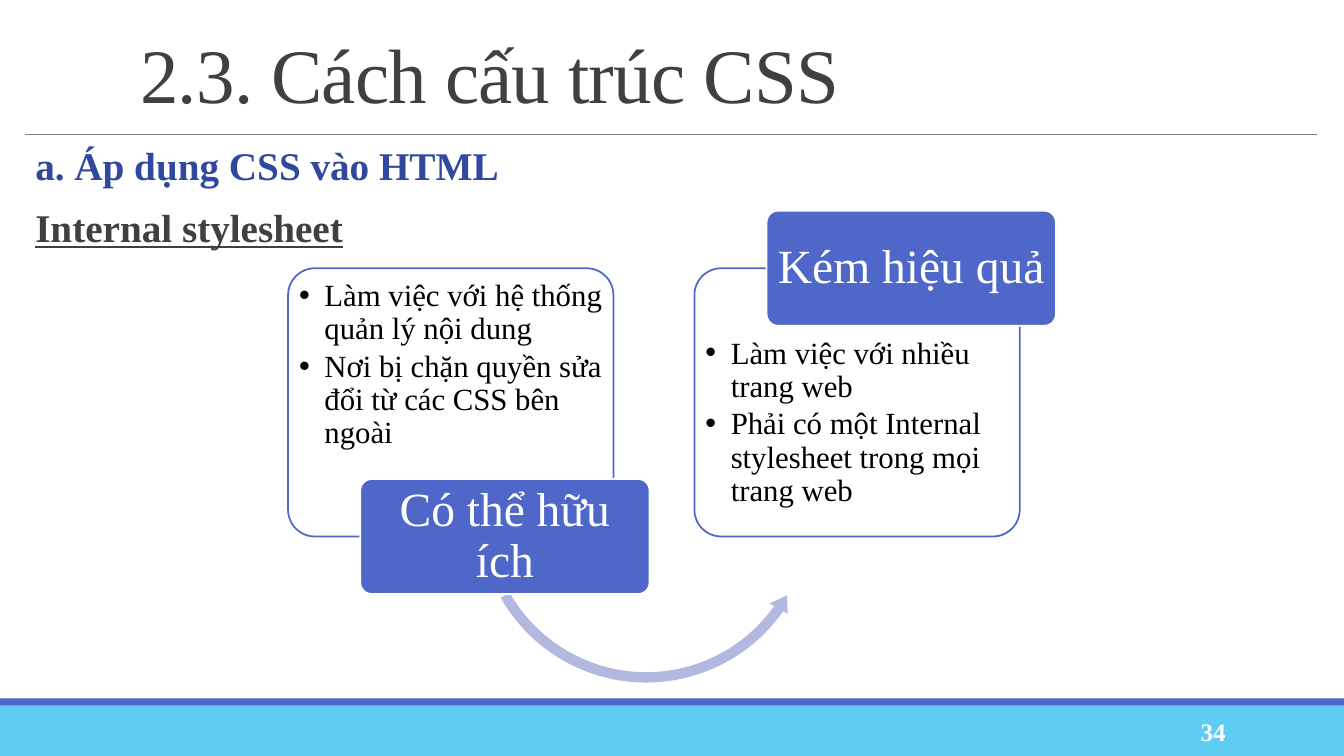
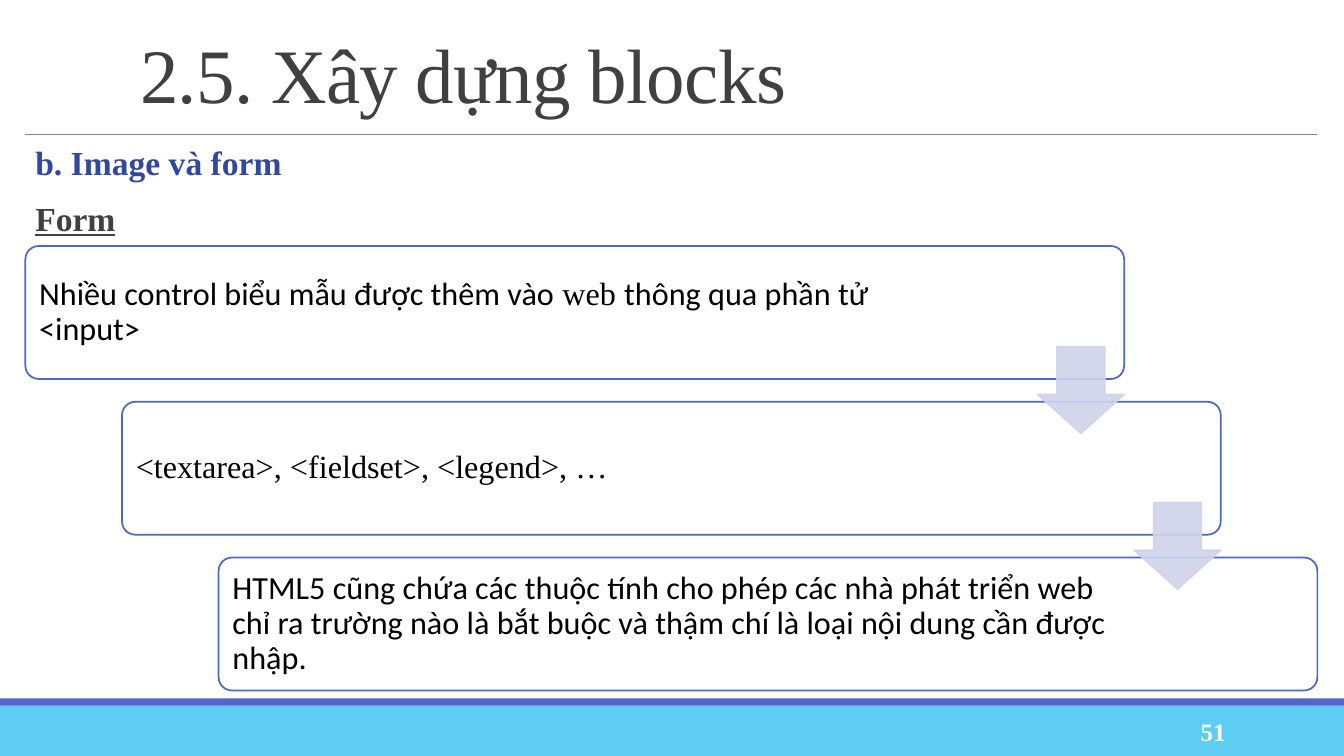
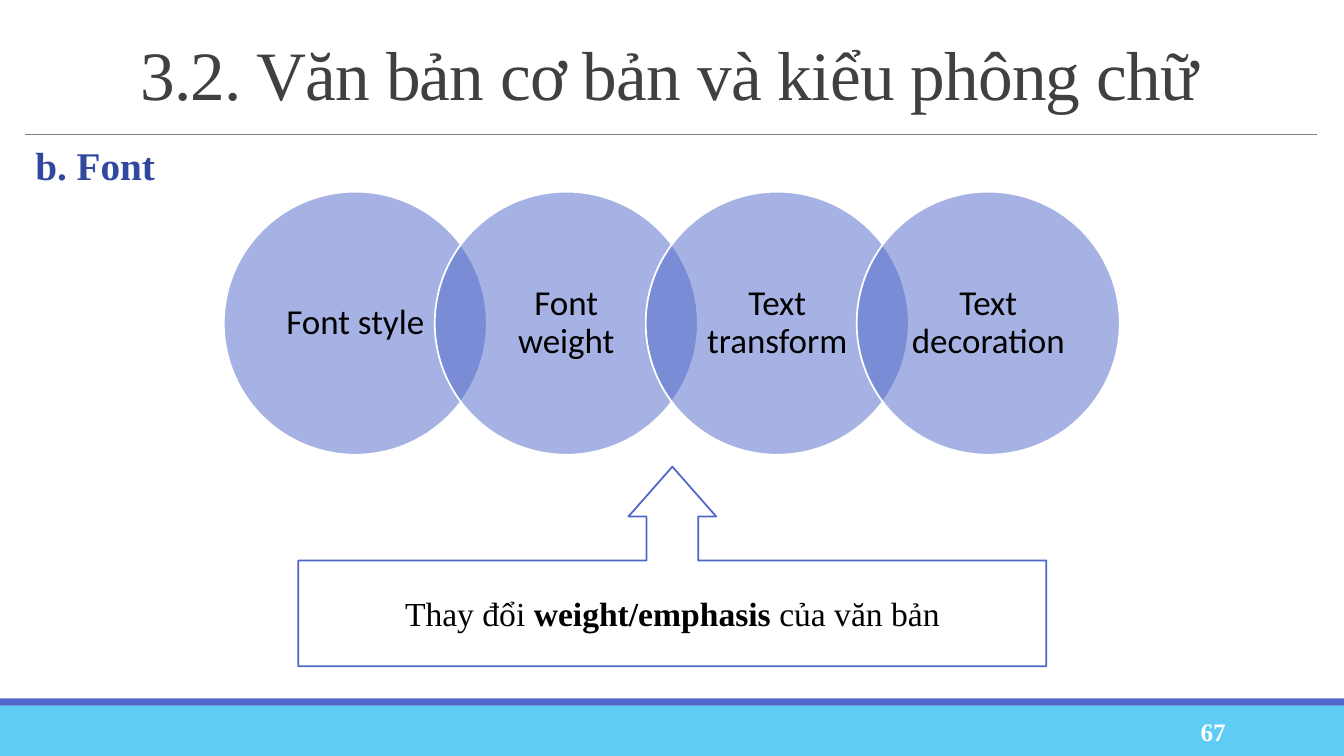
from lxml import etree
from pptx import Presentation
from pptx import util as u
from pptx.dml import color as dml_color
from pptx.enum import shapes, text
from pptx.oxml import ns

SERIF, SANS = "Times New Roman", "Calibri"
INDIGO, SKY, NAVY = "4E67C8", "5ECCF3", "31489F"
WHITE, BLACK, DARK, GRAY = "FFFFFF", "000000", "404040", "808080"
ARC_COLOR, ARROW_COLOR = "B2B8E0", "D0D3EB"
SLIDE_WIDTH, SLIDE_HEIGHT = 33.87, 19.05

CENTER, LEFT = text.PP_ALIGN.CENTER, text.PP_ALIGN.LEFT
MIDDLE, TOP = text.MSO_ANCHOR.MIDDLE, text.MSO_ANCHOR.TOP
PRESET = shapes.MSO_SHAPE


def rgb(value):
    """Turn a hex string into a colour."""
    return dml_color.RGBColor.from_string(value)


def font_format(size, color, name=SERIF, **extra):
    """Gather the values of a font."""
    return {"size": u.Pt(size), "color": color, "name": name, **extra}


def set_attributes(target, values):
    """Set each value of a dict on the target."""
    for name, value in values.items():
        if name == "color":
            target.color.rgb = rgb(value)
        else:
            setattr(target, name, value)


def write(frame, lines, font, layout, insets=None, anchor=MIDDLE, bullet=None):
    """Write lines, each a list of (text, font changes) runs, into a frame."""
    set_attributes(frame, {"word_wrap": True, "vertical_anchor": anchor,
                           "auto_size": text.MSO_AUTO_SIZE.NONE})
    if insets:
        sides = ("left", "top", "right", "bottom")
        set_attributes(frame, {f"margin_{side}": u.Cm(inset)
                               for side, inset in zip(sides, insets)})
    for index, runs in enumerate(lines):
        paragraph = frame.add_paragraph() if index else frame.paragraphs[0]
        set_attributes(paragraph, layout)
        if index == 0:
            paragraph.space_before = u.Pt(0)
        if bullet:
            add_bullet(paragraph, bullet)
        for words, changes in runs:
            run = paragraph.add_run()
            run.text = words
            set_attributes(run.font, {**font, **changes})


def add_bullet(paragraph, character, indent=0.64):
    """Give a paragraph a hanging bullet."""
    properties = paragraph._p.get_or_add_pPr()
    properties.set("marL", str(u.Cm(indent)))
    properties.set("indent", str(-u.Cm(indent)))
    etree.SubElement(properties, ns.qn("a:buFont"), typeface="Arial")
    etree.SubElement(properties, ns.qn("a:buChar"), char=character)


def set_alpha(parent, percent):
    """Make the solid fill inside an element partly transparent."""
    color = parent.find(ns.qn("a:solidFill")).find(ns.qn("a:srgbClr"))
    etree.SubElement(color, ns.qn("a:alpha"), val=str(percent * 1000))


def add_box(slide, preset, box, fill, line=None, adjustments=()):
    """Add a flat preset shape."""
    shape = slide.shapes.add_shape(preset, *map(u.Cm, box))
    shape.shadow.inherit = False
    shape.fill.solid()
    shape.fill.fore_color.rgb = rgb(fill)
    if line:
        shape.line.color.rgb = rgb(line)
        shape.line.width = u.Pt(1.25)
    else:
        shape.line.fill.background()
    for index, value in enumerate(adjustments):
        shape.adjustments[index] = value
    return shape


def add_text(slide, box, *arguments, **options):
    """Add a text box and write into it."""
    write(slide.shapes.add_textbox(*map(u.Cm, box)).text_frame, *arguments, **options)


def add_base(presentation, title, number, headings, title_size=55, heading_size=28):
    """Add a slide with the bands, rule, title, headings and number."""
    slide = presentation.slides.add_slide(presentation.slide_layouts[5])
    add_box(slide, PRESET.RECTANGLE, (0, 17.78, SLIDE_WIDTH, 1.27), SKY)
    add_box(slide, PRESET.RECTANGLE, (0, 17.6, SLIDE_WIDTH, 0.18), INDIGO)
    rule = slide.shapes.add_connector(
        shapes.MSO_CONNECTOR.STRAIGHT, *map(u.Cm, (0.64, 3.38, 33.2, 3.38)))
    rule.line.color.rgb = rgb(GRAY)
    rule.line.width = u.Pt(0.5)
    etree.SubElement(rule._element.spPr, ns.qn("a:effectLst"))

    holder = slide.shapes.title
    for side, length in zip(("left", "top", "width", "height"), (3.28, 0.79, 29.92, 2.44)):
        setattr(holder, side, u.Cm(length))
    write(holder.text_frame, [[(title, {})]], font_format(title_size, DARK),
          {"alignment": LEFT, "line_spacing": 0.85})
    for run in holder.text_frame.paragraphs[0].runs:
        run._r.get_or_add_rPr().set("spc", "-50")

    styles = ({}, {"color": DARK, "underline": True})
    add_text(slide, (0.64, 3.56, 32.56, 13.56),
             [[pair] for pair in zip(headings, styles)],
             font_format(heading_size, NAVY, bold=True),
             {"alignment": text.PP_ALIGN.JUSTIFY, "line_spacing": 0.9,
              "space_before": u.Pt(12), "space_after": u.Pt(2)},
             insets=(0.25, 0.13, 0, 0.13), anchor=TOP)
    add_text(slide, (27.51, 17.93, 3.63, 1.02), [[(number, {})]],
             font_format(18, WHITE, bold=True), {"alignment": text.PP_ALIGN.RIGHT})
    return slide


def add_panels(slide, box, panels):
    """Draw bulleted panels with a badge on one edge, joined by an arc."""
    left, top, width, height = box
    panel_width, badge_width, badge_height, shift = 8.2, 7.29, 2.9, 1.82
    pitch = width - panel_width - badge_width - shift + panel_width
    panel_height = height - badge_height
    panel_top = top + badge_height / 2
    badges = []
    for index, (label, points, badge_on_top) in enumerate(panels):
        panel_left = left + index * pitch
        panel = add_box(slide, PRESET.ROUNDED_RECTANGLE,
                        (panel_left, panel_top, panel_width, panel_height),
                        WHITE, INDIGO, [0.1])
        write(panel.text_frame, [[(point, {})] for point in points],
              font_format(22, BLACK),
              {"alignment": LEFT, "line_spacing": 0.9, "space_after": u.Pt(3)},
              insets=(0.08, 1.55 if badge_on_top else 0.1, 0, 0),
              anchor=TOP, bullet="•")
        badge_top = top if badge_on_top else top + panel_height
        badges.append((label, (panel_left + shift, badge_top, badge_width, badge_height)))
    add_box(slide, PRESET.LEFT_CIRCULAR_ARROW, (left + 4.68, top + 3.33, 8.69, 8.69),
            ARC_COLOR, adjustments=[0.03, 3.33, 21.09, 90.24, 0.03])
    for label, badge_box in badges:
        badge = add_box(slide, PRESET.ROUNDED_RECTANGLE, badge_box, INDIGO, WHITE, [0.1])
        write(badge.text_frame, [[(label, {})]], font_format(34, WHITE),
              {"alignment": CENTER, "line_spacing": 0.9},
              insets=(0.17, 0.13, 0.17, 0.13))


def add_steps(slide, box, steps):
    """Draw a staircase of steps with an arrow between neighbours."""
    left, top, width, height = box
    step_width, step_height, arrow_size = 27.69, 3.35, 2.18
    across = (width - step_width) / (len(steps) - 1)
    down = (height - step_height) / (len(steps) - 1)
    for index, runs in enumerate(steps):
        step = add_box(slide, PRESET.ROUNDED_RECTANGLE,
                       (left + index * across, top + index * down, step_width, step_height),
                       WHITE, INDIGO, [0.1])
        write(step.text_frame, [runs], font_format(23, BLACK, SANS),
              {"alignment": LEFT, "line_spacing": 0.9}, insets=(0.25, 0.25, 4.88, 0.25))
    for index in range(len(steps) - 1):
        arrow = add_box(slide, PRESET.DOWN_ARROW,
                        (left + index * across + step_width - arrow_size,
                         top + index * down + 2.54, arrow_size, arrow_size),
                        ARROW_COLOR, ARROW_COLOR, [0.55, 0.45])
        properties = arrow._element.spPr
        set_alpha(properties, 90)
        set_alpha(properties.find(ns.qn("a:ln")), 90)


def add_circles(slide, box, labels):
    """Draw a row of overlapping circles."""
    left, top, width, diameter = box
    pitch = (width - diameter) / (len(labels) - 1)
    for index, label in enumerate(labels):
        circle = add_box(slide, PRESET.OVAL,
                         (left + index * pitch, top, diameter, diameter), INDIGO, WHITE)
        set_alpha(circle._element.spPr, 50)
        write(circle.text_frame, [[(label, {})]], font_format(25, BLACK, SANS),
              {"alignment": CENTER, "line_spacing": 0.9},
              insets=(0.36, 0.08, 0.36, 0.08))


def add_callout(slide, box, runs):
    """Draw a note with an arrow pointing up."""
    callout = add_box(slide, PRESET.UP_ARROW_CALLOUT, box, WHITE, INDIGO,
                      [0.26, 0.22, 0.25, 0.53])
    write(callout.text_frame, [runs], font_format(24, BLACK), {"alignment": CENTER})


def main():
    """Build the three slides."""
    presentation = Presentation()
    presentation.slide_width = u.Cm(SLIDE_WIDTH)
    presentation.slide_height = u.Cm(SLIDE_HEIGHT)

    slide = add_base(presentation, "2.3. Cách cấu trúc CSS", "34",
                     ["a. Áp dụng CSS vào HTML", "Internal stylesheet"])
    add_panels(slide, (7.26, 5.31, 19.35, 9.66), [
        ("Có thể hữu ích",
         ["Làm việc với hệ thống quản lý nội dung",
          "Nơi bị chặn quyền sửa đổi từ các CSS bên ngoài"], False),
        ("Kém hiệu quả",
         ["Làm việc với nhiều trang web",
          "Phải có một Internal stylesheet trong mọi trang web"], True),
    ])

    slide = add_base(presentation, "2.5. Xây dựng blocks", "51",
                     ["b. Image và form", "Form"], heading_size=24)
    serif = {"name": SERIF}
    add_steps(slide, (0.64, 6.2, 32.56, 11.2), [
        [("Nhiều control biểu mẫu được thêm vào ", {}), ("web ", serif),
         ("thông qua phần tử <input>", {})],
        [("<textarea>, <fieldset>, <legend>, …", serif)],
        [("HTML5 cũng chứa các thuộc tính cho phép các nhà phát triển web chỉ ra "
          "trường nào là bắt buộc và thậm chí là loại nội dung cần được nhập.", {})],
    ])

    slide = add_base(presentation, "3.2. Văn bản cơ bản và kiểu phông chữ", "67",
                     ["b. Font"], title_size=49.5)
    add_circles(slide, (5.64, 4.83, 22.58, 6.63),
                ["Font style", "Font weight", "Text transform", "Text decoration"])
    add_callout(slide, (7.52, 11.76, 18.85, 5.03), [
        ("Thay đổi ", {}), ("weight/emphasis ", {"bold": True}), ("của văn bản", {})])

    presentation.save("out.pptx")


if __name__ == "__main__":
    main()
